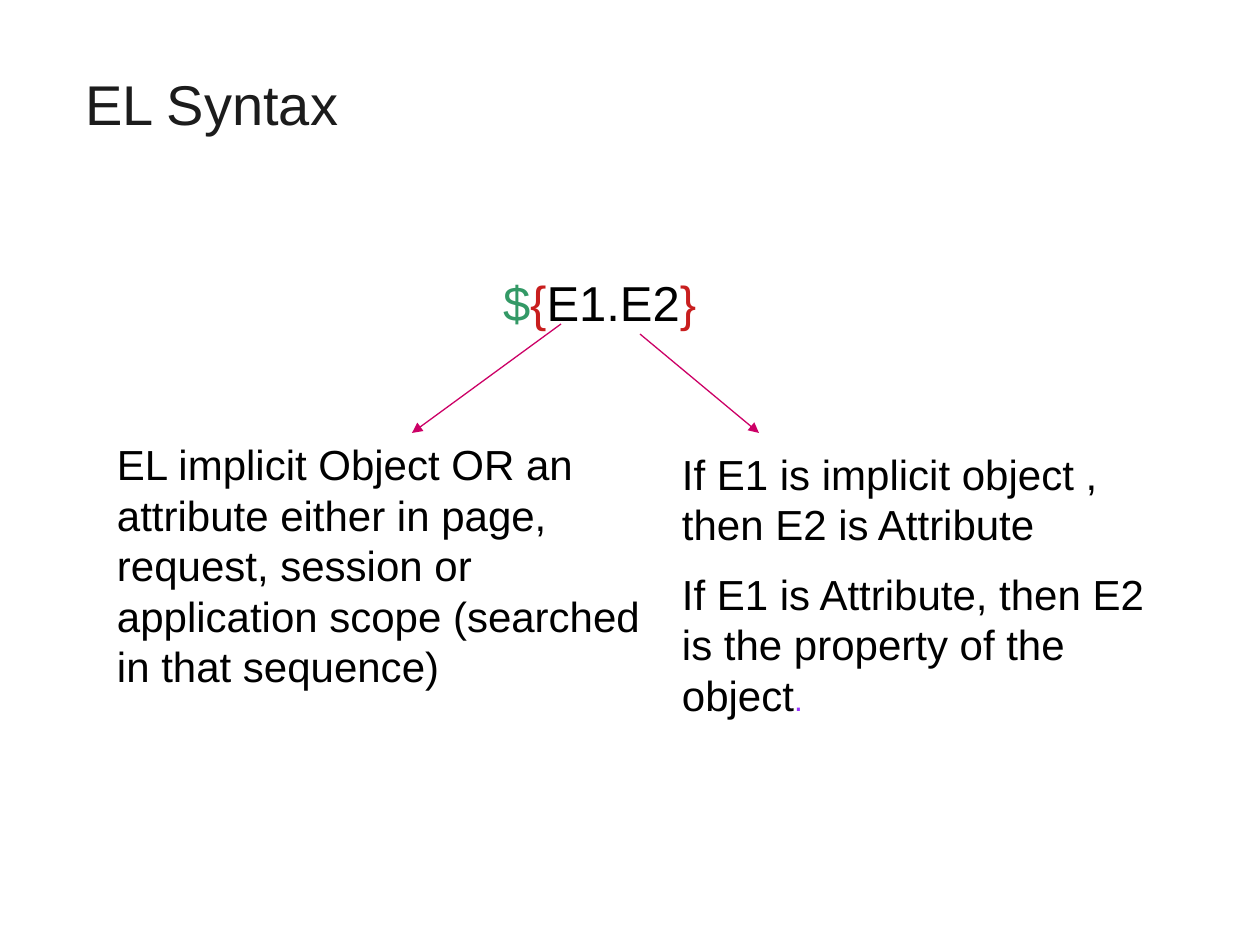
from lxml import etree
from pptx import Presentation, util as u
from pptx.dml.color import RGBColor
from pptx.enum import shapes, text
from pptx.oxml.ns import qn

PX = 914400 / 126
THEME = {
    "font": "Arial",
    "title": (32, "1C1C1C"),
    "body": (24, "000000"),
    "stop": (18, "9933FF"),
    "dollar": (28, "339966"),
    "brace": (28, "C81E1E"),
    "expression": (28, "000000"),
    "arrow": "CC0066",
}


def px(*lengths):
    return [u.Emu(round(length * PX)) for length in lengths]


def write(frame, paragraphs, format_values):
    """Fill a frame from (space before, [(words, style), ...]) paragraphs."""
    side, edge = px(12, 6)
    frame_values = {"margin_left": side, "margin_right": side,
                    "margin_top": edge, "margin_bottom": edge}
    for name, value in {**frame_values, **format_values}.items():
        setattr(frame, name, value)
    for index, (space, spans) in enumerate(paragraphs):
        para = frame.add_paragraph() if index else frame.paragraphs[0]
        para_values = {"alignment": text.PP_ALIGN.LEFT, "space_before": u.Pt(space)}
        for name, value in para_values.items():
            setattr(para, name, value)
        for words, style in spans:
            size, colour = THEME[style]
            span = para.add_run()
            span.text = words
            for name, value in {"name": THEME["font"], "size": u.Pt(size)}.items():
                setattr(span.font, name, value)
            span.font.color.rgb = RGBColor.from_string(colour)


deck = Presentation()
deck.slide_width, deck.slide_height = px(1260, 945)
page = deck.slides.add_slide(deck.slide_layouts[5])

# Title
title = page.shapes.title
title.left, title.top, title.width, title.height = px(73, 53, 1134, 101)
write(title.text_frame, [(0, [("EL Syntax", "title")])],
      {"vertical_anchor": text.MSO_ANCHOR.MIDDLE, "word_wrap": True})

# Explanations of E1 and E2, then the expression itself
boxes = [
    ((105, 433, 556, 265), True, [
        (15, [("EL implicit Object OR an attribute either in page, request, "
               "session or application scope (searched in that sequence)", "body")]),
    ]),
    ((670, 442, 525, 285), True, [
        (15, [("If E1 is implicit object , then E2 is Attribute", "body")]),
        (11.2, [("If E1 is Attribute, then E2 is the property of the object", "body"),
                (".", "stop")]),
    ]),
    ((491, 267, 222, 72), False, [
        (7, [("$", "dollar"), ("{", "brace"), ("E1.E2", "expression"), ("}", "brace")]),
    ]),
]
for place, wraps, paragraphs in boxes:
    box = page.shapes.add_textbox(*px(*place))
    write(box.text_frame, paragraphs,
          {"word_wrap": wraps, "auto_size": text.MSO_AUTO_SIZE.SHAPE_TO_FIT_TEXT})

# Arrows from the expression to its explanations
for ends in [(561, 324, 412, 433), (640, 334, 759, 433)]:
    arrow = page.shapes.add_connector(shapes.MSO_CONNECTOR.STRAIGHT, *px(*ends))
    arrow.line.width = u.Pt(0.75)
    arrow.line.color.rgb = RGBColor.from_string(THEME["arrow"])
    etree.SubElement(arrow.line._get_or_add_ln(), qn("a:tailEnd"), type="triangle")
    etree.SubElement(arrow._element.spPr, qn("a:effectLst"))

deck.save("out.pptx")
